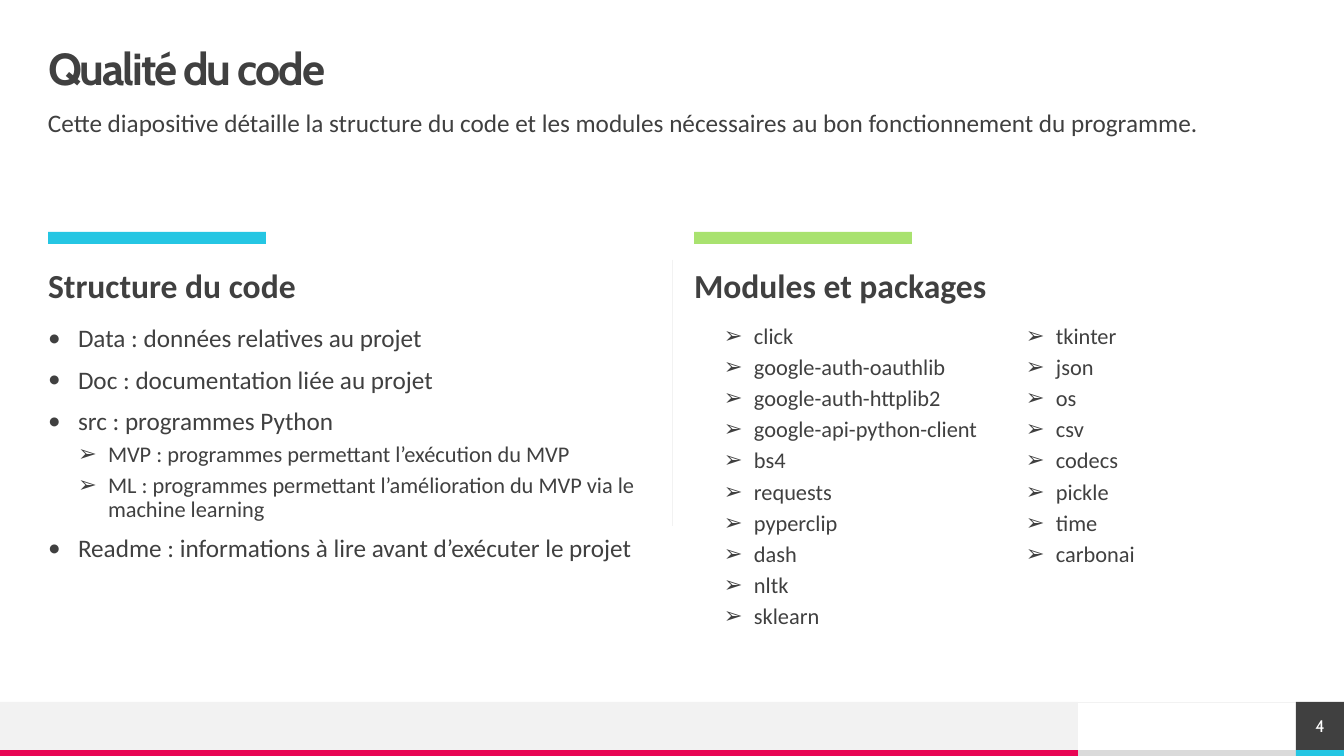
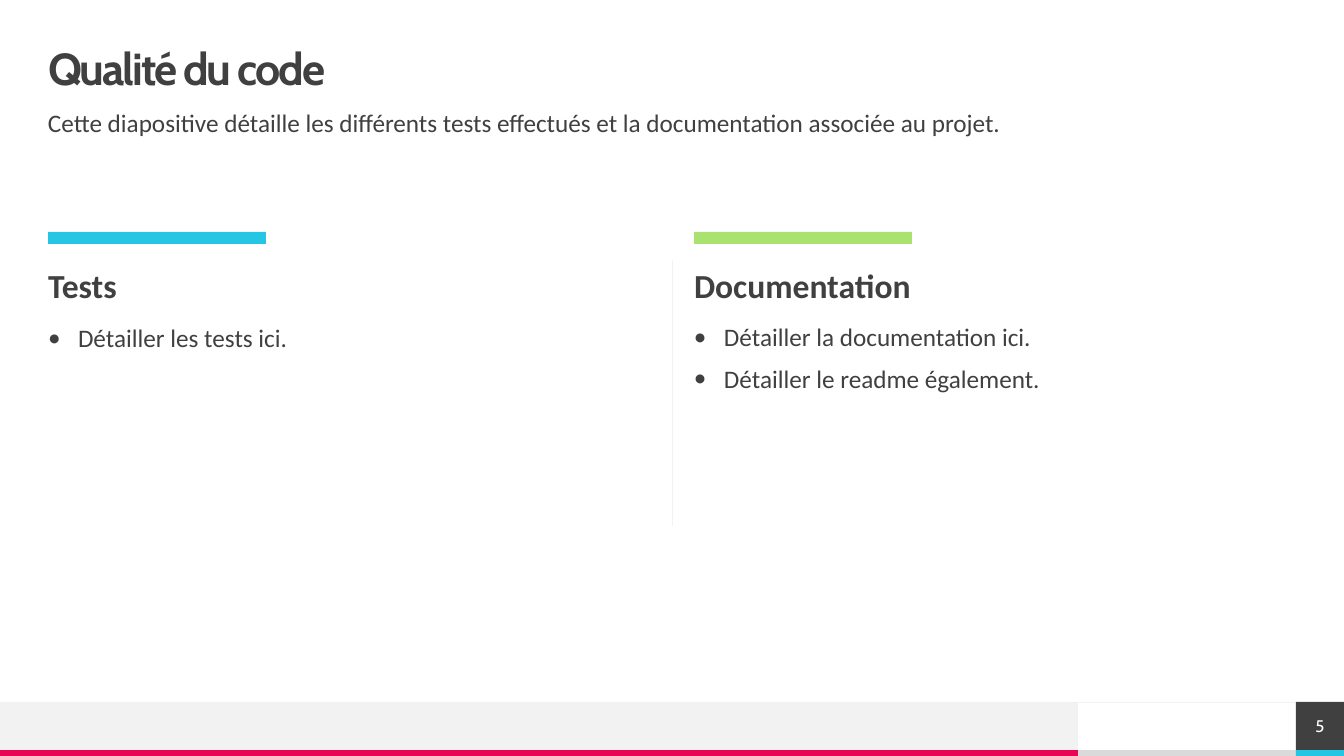
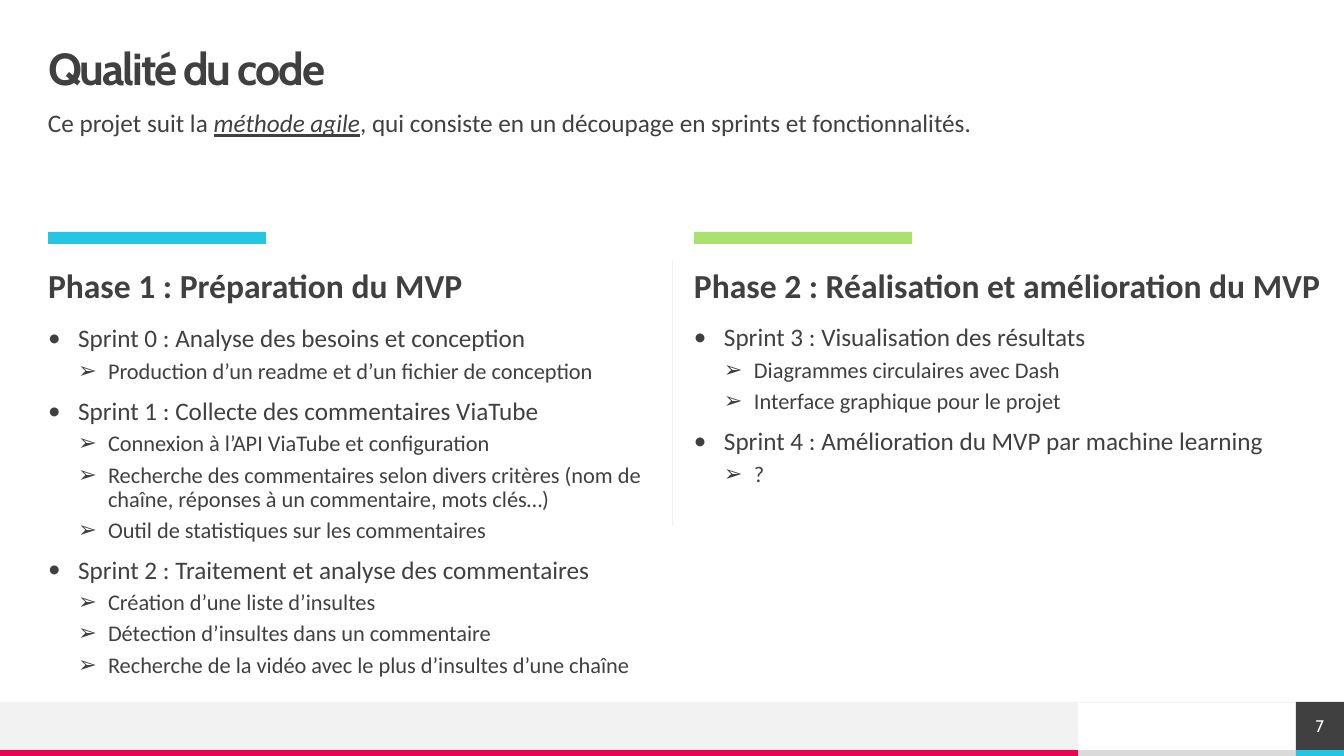
from dataclasses import dataclass
from typing import NamedTuple

from lxml import etree
from pptx import Presentation
from pptx import util as u
from pptx.dml.color import RGBColor
from pptx.enum import shapes, text
from pptx.oxml import ns

EMU_PER_PIXEL = 12192000 / 1344
SLIDE_W, SLIDE_H = 1344, 756
COLORS = {
    "ink": "404040",
    "white": "FFFFFF",
    "band": "F2F2F2",
    "grey": "DADADA",
    "cyan": "25C6E3",
    "green": "A9E26F",
    "pink": "E80554",
}
BODY_FONT, TITLE_FONT = "Calibri", "Cabin"
MARGIN = 48
CONTENT_W = SLIDE_W - 2 * MARGIN
FOOTER_TOP, STRIP_TOP = 702, 750
BAND_RIGHT, NUMBER_LEFT = 1078, 1296
INDENT = 30


class Box(NamedTuple):
    """Position and size in pixels."""
    left: int
    top: int
    width: int
    height: int


class Run(NamedTuple):
    """Words with the formats that differ from their paragraph."""
    words: str
    style: dict = {}


class Point(NamedTuple):
    """One bulleted line of a list."""
    words: str
    level: int = 0


class LevelStyle(NamedTuple):
    """Look of one list level."""
    bullet: str
    size: int
    before: int


class ColumnFrame(NamedTuple):
    """Place and accent of one of the two columns."""
    left: int
    list_top: int
    list_width: int
    accent: str


@dataclass
class Column:
    """Heading and lists, which stand side by side."""
    heading: str
    lists: list[list[Point]]
    heading_width: int = 602


@dataclass
class Page:
    """Content of one slide."""
    number: int
    summary: list[Run]
    columns: list[Column]


LEVELS = [LevelStyle("•", 18, 10), LevelStyle("➢", 16, 5)]
FRAMES = [ColumnFrame(MARGIN, 326, 602, "cyan"), ColumnFrame(694, 325, 604, "green")]
FOOTER_BLOCKS = [
    (Box(BAND_RIGHT, STRIP_TOP, NUMBER_LEFT - BAND_RIGHT, 6), "grey"),
    (Box(0, FOOTER_TOP, BAND_RIGHT, STRIP_TOP - FOOTER_TOP), "band"),
    (Box(0, STRIP_TOP, BAND_RIGHT, 6), "pink"),
    (Box(NUMBER_LEFT, STRIP_TOP, SLIDE_W - NUMBER_LEFT, 6), "cyan"),
]


def px(pixels: float) -> u.Emu:
    """Turn pixels into EMU."""
    return u.Emu(round(pixels * EMU_PER_PIXEL))


def details(*lines: str) -> list[Point]:
    """Make second-level points."""
    return [Point(line, 1) for line in lines]


def format_run(run, size=18, font=BODY_FONT, color="ink", bold=False,
               italic=False, underline=False, tracking=0.0) -> None:
    """Set the character format of a run."""
    run.font.size = u.Pt(size)
    run.font.name = font
    run.font.color.rgb = RGBColor.from_string(COLORS[color])
    run.font.bold = bold
    run.font.italic = italic
    run.font.underline = underline
    if tracking:
        run._r.get_or_add_rPr().set("spc", str(round(tracking * 100)))


def write_text(paragraph, runs: list[Run], align=text.PP_ALIGN.LEFT,
               line_spacing=0.9, before=0, **style) -> None:
    """Fill a paragraph with runs in the given format."""
    paragraph.alignment = align
    paragraph.line_spacing = line_spacing
    paragraph.space_before = u.Pt(before)
    for words, own_style in runs:
        run = paragraph.add_run()
        run.text = words
        format_run(run, **{**style, **own_style})


def set_frame(shape, anchor=text.MSO_ANCHOR.TOP):
    """Set wrapping and anchor, remove insets; return the text frame."""
    frame = shape.text_frame
    frame.word_wrap = True
    frame.auto_size = text.MSO_AUTO_SIZE.NONE
    frame.vertical_anchor = anchor
    frame.margin_left = frame.margin_top = 0
    frame.margin_right = frame.margin_bottom = 0
    return frame


def add_text(slide, box: Box, runs: list[Run], **style) -> None:
    """Add a one-paragraph text box without insets."""
    frame = set_frame(slide.shapes.add_textbox(*map(px, box)))
    write_text(frame.paragraphs[0], runs, **style)


def add_block(slide, box: Box, color: str):
    """Add a plain filled rectangle."""
    block = slide.shapes.add_shape(shapes.MSO_SHAPE.RECTANGLE, *map(px, box))
    block.shadow.inherit = False
    block.fill.solid()
    block.fill.fore_color.rgb = RGBColor.from_string(COLORS[color])
    block.line.fill.background()
    return block


def add_rule(slide, start: tuple[int, int], end: tuple[int, int]) -> None:
    """Add a hairline between two points."""
    rule = slide.shapes.add_connector(
        shapes.MSO_CONNECTOR.STRAIGHT, *map(px, start + end))
    rule.line.color.rgb = RGBColor.from_string(COLORS["band"])
    rule.line.width = u.Pt(0.5)
    etree.SubElement(rule._element.spPr, ns.qn("a:effectLst"))


def add_list(slide, box: Box, points: list[Point]) -> None:
    """Add a bulleted list of two levels."""
    frame = set_frame(slide.shapes.add_textbox(*map(px, box)))
    for index, point in enumerate(points):
        paragraph = frame.add_paragraph() if index else frame.paragraphs[0]
        level = LEVELS[point.level]
        paragraph.level = point.level
        write_text(paragraph, [Run(point.words)], size=level.size, before=level.before)
        properties = paragraph._p.get_or_add_pPr()
        properties.set("marL", str(px(INDENT * (point.level + 1))))
        properties.set("indent", str(-px(INDENT)))
        etree.SubElement(properties, ns.qn("a:buFont"), typeface=BODY_FONT)
        etree.SubElement(properties, ns.qn("a:buChar"), char=level.bullet)


def add_footer(slide, number: int) -> None:
    """Draw the footer bands and the page number."""
    for box, color in FOOTER_BLOCKS:
        add_block(slide, box, color)
    add_rule(slide, (SLIDE_W, FOOTER_TOP), (0, FOOTER_TOP))
    page_number = add_block(
        slide, Box(NUMBER_LEFT, FOOTER_TOP, SLIDE_W - NUMBER_LEFT,
                   STRIP_TOP - FOOTER_TOP), "ink")
    frame = set_frame(page_number, text.MSO_ANCHOR.MIDDLE)
    write_text(frame.paragraphs[0], [Run(str(number))], align=text.PP_ALIGN.CENTER,
               line_spacing=1.0, size=12, font=TITLE_FONT, color="white")


def add_title(slide, words: str) -> None:
    """Place and fill the title placeholder."""
    title = slide.shapes.title
    title.left, title.top, title.width, title.height = map(
        px, Box(MARGIN, 47, CONTENT_W, 48))
    frame = set_frame(title, text.MSO_ANCHOR.MIDDLE)
    write_text(frame.paragraphs[0], [Run(words)], size=32, font=TITLE_FONT,
               bold=True, tracking=-1.5)


def add_column(slide, frame: ColumnFrame, column: Column) -> None:
    """Draw an accent bar, a heading and its lists."""
    add_block(slide, Box(frame.left, 232, 218, 12), frame.accent)
    add_text(slide, Box(frame.left, 269, column.heading_width, 39),
             [Run(column.heading)], size=24, bold=True, before=10)
    list_width = frame.list_width // len(column.lists)
    for index, points in enumerate(column.lists):
        add_list(slide, Box(frame.left + index * list_width, frame.list_top,
                            list_width, 363), points)


def add_page(deck, page: Page) -> None:
    """Build one two-column slide."""
    slide = deck.slides.add_slide(deck.slide_layouts[5])
    add_footer(slide, page.number)
    add_title(slide, "Qualité du code")
    add_text(slide, Box(MARGIN, 111, CONTENT_W, 39), page.summary, before=10)
    add_rule(slide, (672, 260), (672, 526))
    for frame, column in zip(FRAMES, page.columns):
        add_column(slide, frame, column)


PAGES = [
    Page(
        number=4,
        summary=[Run("Cette diapositive détaille la structure du code et les modules "
                     "nécessaires au bon fonctionnement du programme.")],
        columns=[
            Column("Structure du code", [[
                Point("Data : données relatives au projet"),
                Point("Doc : documentation liée au projet"),
                Point("src : programmes Python"),
                *details("MVP : programmes permettant l’exécution du MVP",
                         "ML : programmes permettant l’amélioration du MVP via le "
                         "machine learning"),
                Point("Readme : informations à lire avant d’exécuter le projet"),
            ]]),
            Column("Modules et packages", [
                details("click", "google-auth-oauthlib", "google-auth-httplib2",
                        "google-api-python-client", "bs4", "requests", "pyperclip",
                        "dash", "nltk", "sklearn"),
                details("tkinter", "json", "os", "csv", "codecs", "pickle", "time",
                        "carbonai"),
            ]),
        ],
    ),
    Page(
        number=5,
        summary=[Run("Cette diapositive détaille les différents tests effectués et la "
                     "documentation associée au projet.")],
        columns=[
            Column("Tests", [[Point("Détailler les tests ici.")]]),
            Column("Documentation", [[
                Point("Détailler la documentation ici."),
                Point("Détailler le readme également."),
            ]]),
        ],
    ),
    Page(
        number=7,
        summary=[
            Run("Ce projet suit la "),
            Run("méthode agile", dict(italic=True, underline=True)),
            Run(", qui consiste en un découpage en sprints et fonctionnalités."),
        ],
        columns=[
            Column("Phase 1 : Préparation du MVP", [[
                Point("Sprint 0 : Analyse des besoins et conception"),
                *details("Production d’un readme et d’un fichier de conception"),
                Point("Sprint 1 : Collecte des commentaires ViaTube"),
                *details("Connexion à l’API ViaTube et configuration",
                         "Recherche des commentaires selon divers critères (nom de "
                         "chaîne, réponses à un commentaire, mots clés…)",
                         "Outil de statistiques sur les commentaires"),
                Point("Sprint 2 : Traitement et analyse des commentaires"),
                *details("Création d’une liste d’insultes",
                         "Détection d’insultes dans un commentaire",
                         "Recherche de la vidéo avec le plus d’insultes d’une chaîne"),
            ]]),
            Column("Phase 2 : Réalisation et amélioration du MVP", [[
                Point("Sprint 3 : Visualisation des résultats"),
                *details("Diagrammes circulaires avec Dash",
                         "Interface graphique pour le projet"),
                Point("Sprint 4 : Amélioration du MVP par machine learning"),
                *details("?"),
            ]], heading_width=649),
        ],
    ),
]


def main() -> None:
    """Build and save the deck."""
    deck = Presentation()
    deck.slide_width, deck.slide_height = px(SLIDE_W), px(SLIDE_H)
    for page in PAGES:
        add_page(deck, page)
    deck.save("out.pptx")


main()
